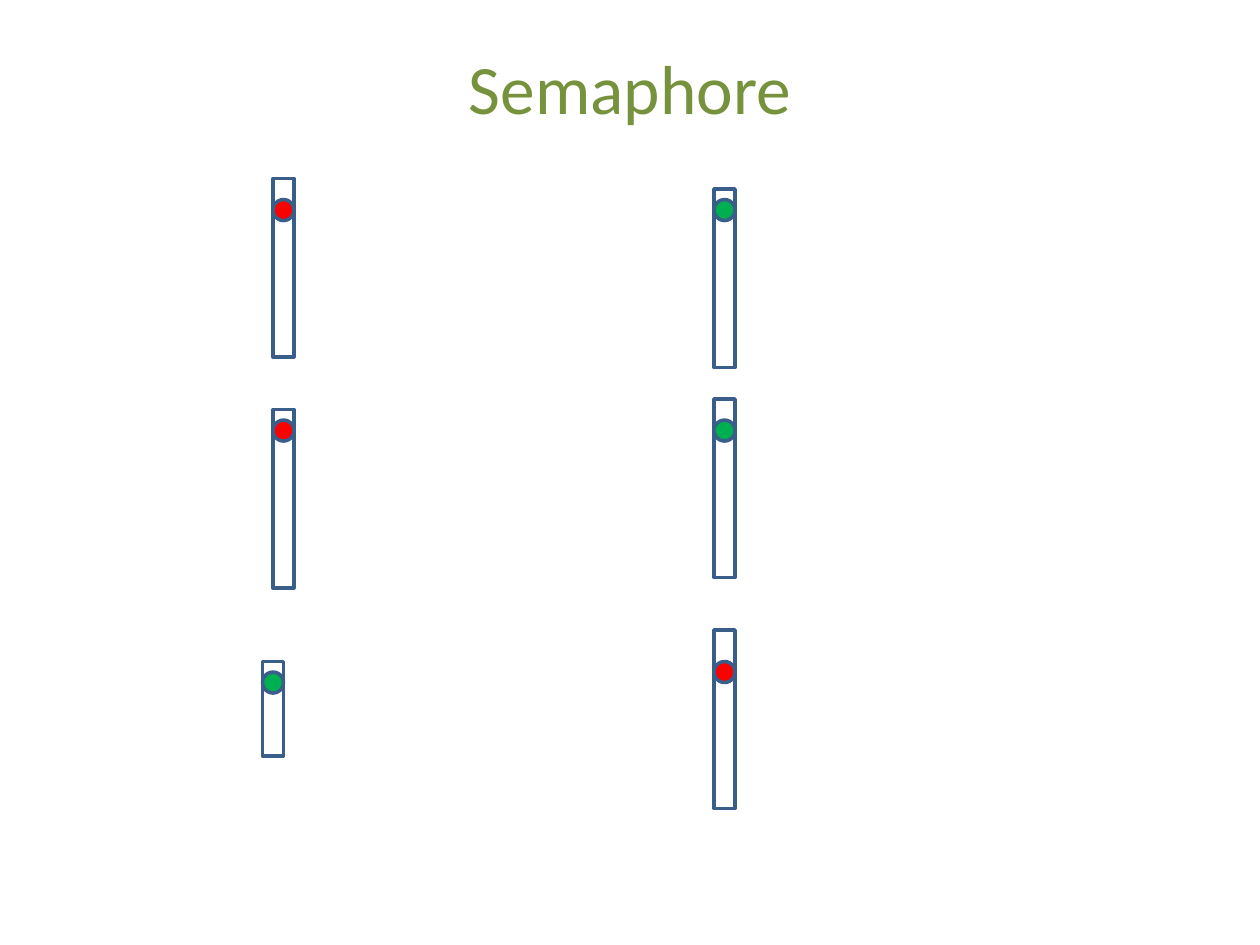
from pptx import Presentation
from pptx.dml.color import RGBColor
from pptx.enum.shapes import MSO_SHAPE
from pptx.enum.text import MSO_ANCHOR, PP_ALIGN
from pptx.util import Pt

PX = 914400 // 120
COLOURS = {"title": "76923C", "outline": "395E89", "stop": "FF0000", "go": "00B050"}
TITLE_FONT = {"name": "Calibri", "size": Pt(39.6)}
THICKNESS = 20

# Mast left, top, width, height; lamp drop from the mast top; lamp state
SEMAPHORES = [
    ((260, 170, THICKNESS, 170), 20, "stop"),
    ((260, 390, THICKNESS, 170), 10, "stop"),
    ((250, 630, THICKNESS, 90), 10, "go"),
    ((680, 180, THICKNESS, 170), 10, "go"),
    ((680, 380, THICKNESS, 170), 20, "go"),
    ((680, 600, THICKNESS, 170), 30, "stop"),
]


def colour(name):
    return RGBColor.from_string(COLOURS[name])


def emu(box):
    return [length * PX for length in box]


def add_title(slide, box, wording):
    title = slide.shapes.add_textbox(*emu(box))
    frame = title.text_frame
    frame.word_wrap = True
    frame.vertical_anchor = MSO_ANCHOR.MIDDLE
    heading = frame.paragraphs[0]
    heading.text = wording
    heading.alignment = PP_ALIGN.CENTER
    font = heading.runs[0].font
    for attribute, value in TITLE_FONT.items():
        setattr(font, attribute, value)
    font.color.rgb = colour("title")


def add_outlined(slide, preset, box):
    part = slide.shapes.add_shape(preset, *emu(box))
    part.shadow.inherit = False
    part.fill.background()
    part.line.color.rgb = colour("outline")
    part.line.width = Pt(2)
    return part


def add_semaphore(slide, box, lamp_drop, state):
    """Place a mast filling the box, with a lamp as wide as the mast."""
    left, top, width, _ = box
    lamp = add_outlined(slide, MSO_SHAPE.FLOWCHART_CONNECTOR,
                        (left, top + lamp_drop, width, width))
    lamp.rotation = 180
    lamp.fill.solid()
    lamp.fill.fore_color.rgb = colour(state)
    add_outlined(slide, MSO_SHAPE.FLOWCHART_PROCESS, box)


def main():
    presentation = Presentation()
    presentation.slide_width, presentation.slide_height = emu((1200, 900))
    slide = presentation.slides.add_slide(presentation.slide_layouts[6])
    add_title(slide, (60, 36, 1080, 94), "Semaphore")
    for box, lamp_drop, state in SEMAPHORES:
        add_semaphore(slide, box, lamp_drop, state)
    presentation.save("out.pptx")


if __name__ == "__main__":
    main()
